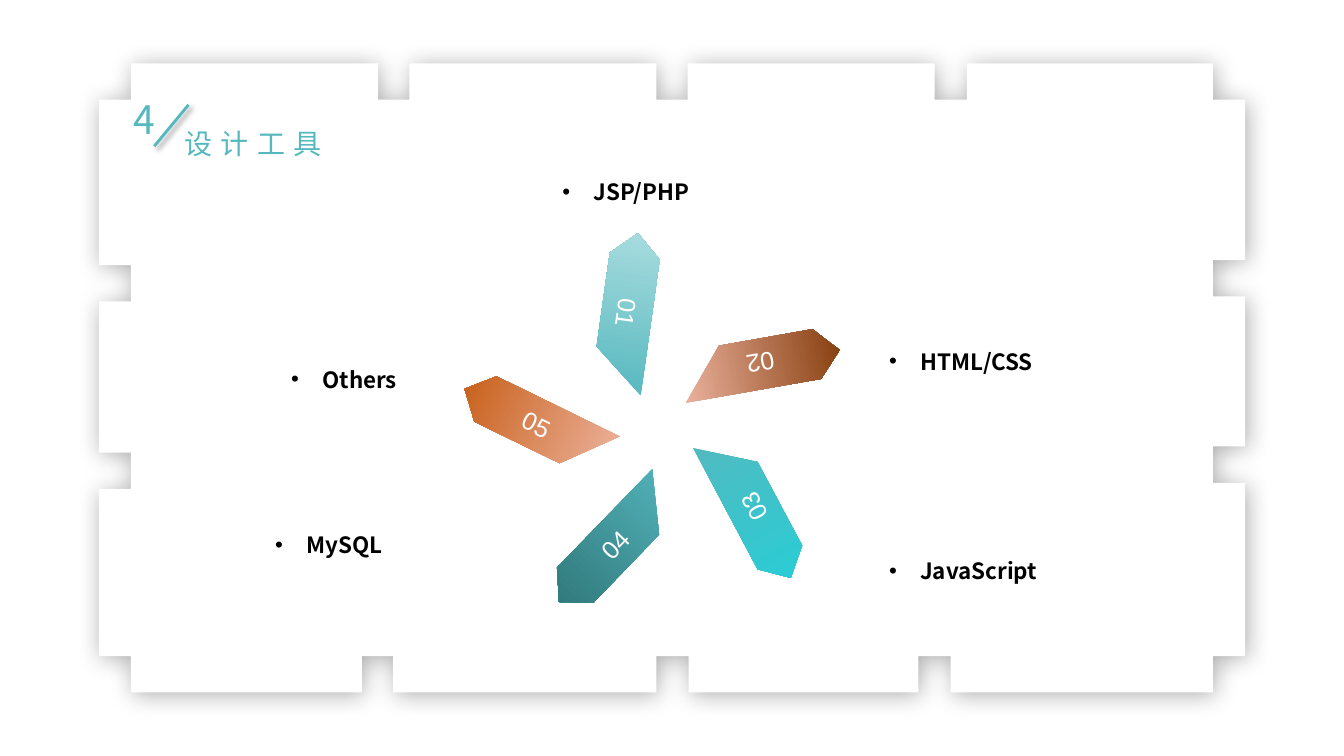
from math import cos, radians, sin

from lxml.etree import SubElement
from pptx import Presentation
from pptx.dml.color import RGBColor
from pptx.enum.shapes import MSO_CONNECTOR as CONNECTOR
from pptx.enum.text import MSO_ANCHOR as ANCHOR, MSO_AUTO_SIZE as AUTO_SIZE, PP_ALIGN as ALIGN
from pptx.oxml.ns import qn
from pptx.util import Inches, Pt

colour = RGBColor.from_string
TEAL = "55B8BE"
WHITE = "FFFFFF"
HUNDREDTH = Inches(0.01)  # unit of the outline points


def add_shadow(shape, opacity, blur, distance):
    effects = SubElement(shape._element.spPr, qn("a:effectLst"))
    outer = SubElement(effects, qn("a:outerShdw"), blurRad=str(Pt(blur)),
                       dist=str(Pt(distance)), dir="2700000", algn="tl", rotWithShape="0")
    black = SubElement(outer, qn("a:srgbClr"), val="000000")
    SubElement(black, qn("a:alpha"), val=str(opacity * 1000))


def add_run(para, text, size, font_name, hex_colour, bold=False, spacing=0):
    span = para.add_run()
    span.text = text
    span.font.size = Pt(size)
    span.font.bold = bold
    span.font.color.rgb = colour(hex_colour)
    span.font.name = font_name
    properties = span._r.get_or_add_rPr()
    SubElement(properties, qn("a:ea"), typeface=font_name)
    if spacing:
        properties.set("spc", str(spacing * 100))


deck = Presentation()
deck.slide_width, deck.slide_height = Inches(13.33), Inches(7.5)
page = deck.slides.add_slide(deck.slide_layouts[5])

# Notched board: tabs run clockwise along each side, in hundredths of an inch
top_tabs = [(130, 375), (406, 651), (682, 927), (959, 1203)]
right_tabs = [(99, 258), (294, 443), (479, 651)]
bottom_tabs = [(1203, 943), (911, 683), (651, 390), (359, 130)]
left_tabs = [(651, 485), (449, 299), (263, 99)]
outline = []
for across, inner_y, outer_y, down, inner_x, outer_x in [
        (top_tabs, 99, 63, right_tabs, 1203, 1235),
        (bottom_tabs, 651, 687, left_tabs, 130, 98)]:
    for start, end in across:
        outline += [(start, inner_y), (start, outer_y), (end, outer_y), (end, inner_y)]
    for start, end in down:
        outline += [(inner_x, start), (outer_x, start), (outer_x, end), (inner_x, end)]
builder = page.shapes.build_freeform(*outline[0], scale=HUNDREDTH)
builder.add_line_segments(outline[1:])
board = builder.convert_to_shape()
board.fill.solid()
board.fill.fore_color.rgb = colour(WHITE)
board.line.fill.background()
add_shadow(board, 33, 18, 3)

# Heading: section number, title and slash
number_box = page.shapes.add_textbox(Inches(1.21), Inches(0.91), Inches(0.83), Inches(0.7))
title = page.shapes.title
title.left, title.top, title.width, title.height = (
    Inches(1.72), Inches(1.21), Inches(1.67), Inches(0.44))
for box, text, size in [(number_box, "4", 28), (title, "设计工具", 20)]:
    frame = box.text_frame
    frame.word_wrap = True
    frame.auto_size = AUTO_SIZE.NONE
    frame.vertical_anchor = ANCHOR.TOP
    frame.margin_left, frame.margin_right = Inches(0.11), Inches(0.03)
    frame.margin_top = frame.margin_bottom = Inches(0.04)
    para = frame.paragraphs[0]
    para.alignment = ALIGN.JUSTIFY
    add_run(para, text, size, "Noto Sans CJK JP", TEAL, spacing=6)

slash = page.shapes.add_connector(
    CONNECTOR.STRAIGHT, Inches(1.53), Inches(1.45), Inches(1.87), Inches(1.04))
slash.line.color.rgb = colour(TEAL)
slash.line.width = Pt(2)
add_shadow(slash, 40, 4, 3)

# Pinwheel: five blades, 72 degrees apart around the hub
hub_x, hub_y, radius = 6.53, 4.27, 1.21
blade_width, blade_height = 1.59, 0.5
blade_outline = [(136, 0), (159, 25), (136, 50), (42, 50)]
blades = [
    ("05", "EEB6A3", "C55A11"),
    ("01", TEAL, "AADDDF"),
    ("02", "EEB6A3", "843C0B"),
    ("03", TEAL, "27CED7"),
    ("04", TEAL, "2D7275"),
]
pinwheel = page.shapes.add_group_shape()
for index, (text, inner_colour, outer_colour) in enumerate(blades):
    turn = (206 + 72 * index) % 360
    direction = radians(turn - 23)
    left = hub_x + radius * cos(direction) - blade_width / 2
    top = hub_y + radius * sin(direction) - blade_height / 2
    builder = pinwheel.shapes.build_freeform(0, 0, scale=HUNDREDTH)
    builder.add_line_segments(blade_outline)
    blade = builder.convert_to_shape(Inches(left), Inches(top))
    blade.rotation = turn
    blade._element.spPr.find(qn("a:xfrm")).set("flipV", "1")
    blade.shadow.inherit = False
    blade.line.fill.background()
    blade.fill.gradient()
    blade.fill.gradient_angle = 0
    for stop, position, hex_colour in zip(
            blade.fill.gradient_stops, (0, 1), (inner_colour, outer_colour)):
        stop.position = position
        stop.color.rgb = colour(hex_colour)
    frame = blade.text_frame
    frame.word_wrap = True
    frame.vertical_anchor = ANCHOR.MIDDLE
    para = frame.paragraphs[0]
    para.alignment = ALIGN.CENTER
    add_run(para, text, 18, "Arial", WHITE)

# Bulleted tool names around the pinwheel
tools = [
    ("JSP/PHP", 5.48, 1.72),
    ("HTML/CSS", 8.72, 3.4),
    ("Others", 2.79, 3.58),
    ("MySQL", 2.63, 5.22),
    ("JavaScript", 8.72, 5.48),
]
for text, left, top in tools:
    box = page.shapes.add_textbox(Inches(left), Inches(top), Inches(2.74), Inches(0.37))
    frame = box.text_frame
    frame.word_wrap = True
    frame.auto_size = AUTO_SIZE.SHAPE_TO_FIT_TEXT
    para = frame.paragraphs[0]
    properties = para._p.get_or_add_pPr()
    properties.set("marL", str(Inches(0.31)))
    properties.set("indent", str(-Inches(0.31)))
    SubElement(properties, qn("a:buFont"), typeface="Arial")
    SubElement(properties, qn("a:buChar"), char="•")
    add_run(para, text, 16, "Noto Sans CJK SC", "000000", bold=True)

# The title was created first, so bring it in front of the board
board._element.addnext(title._element)

deck.save("out.pptx")
